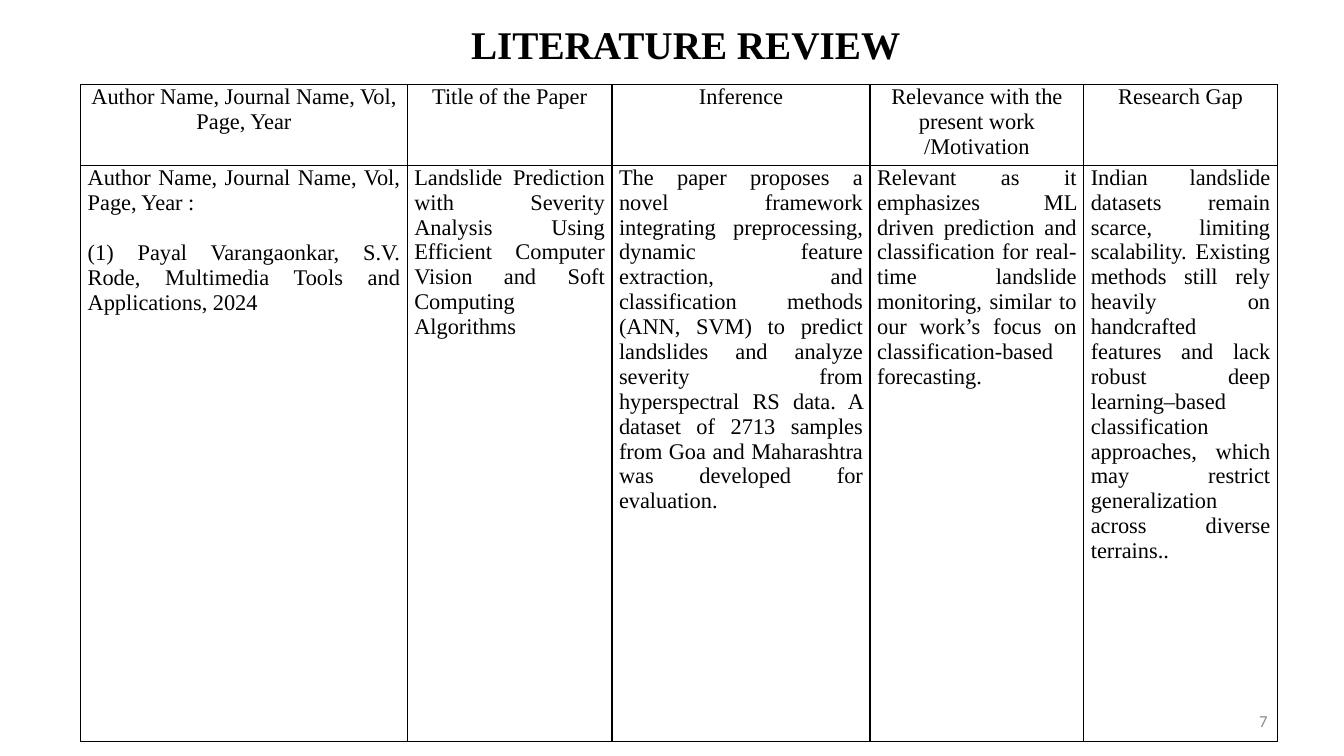
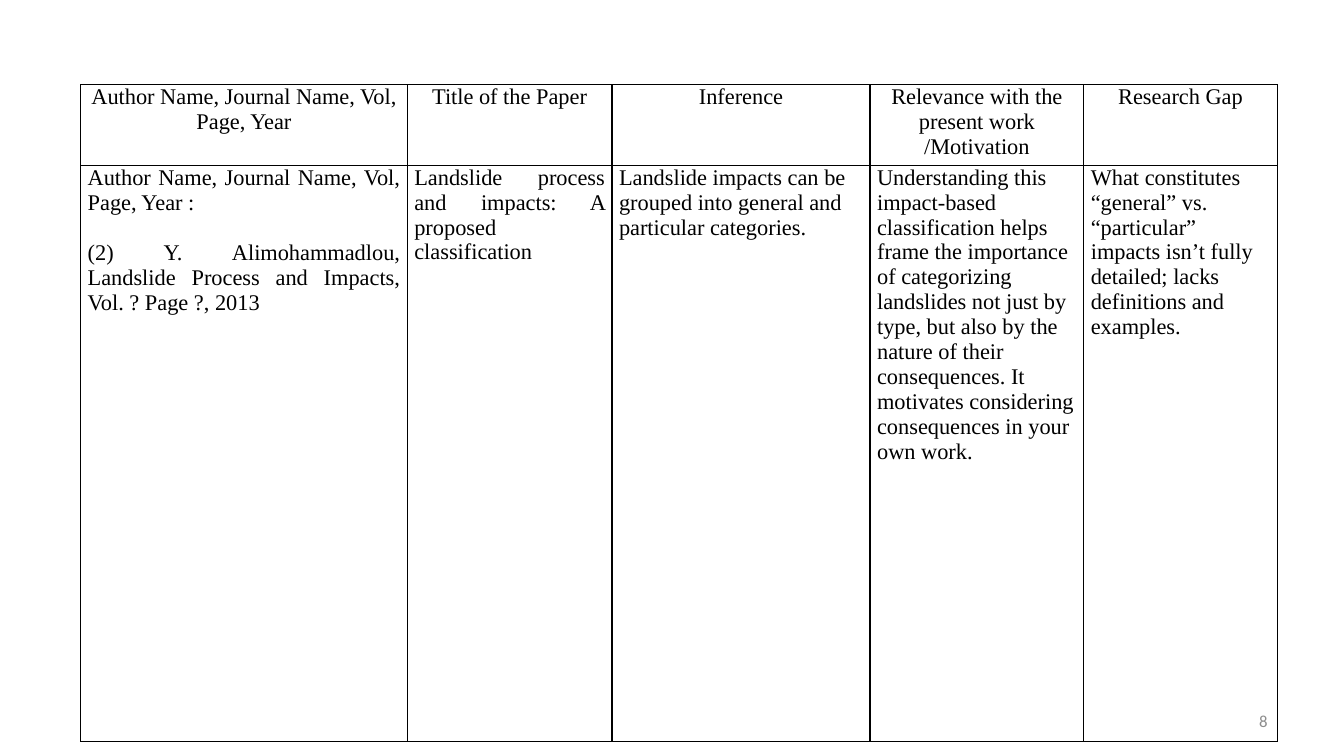
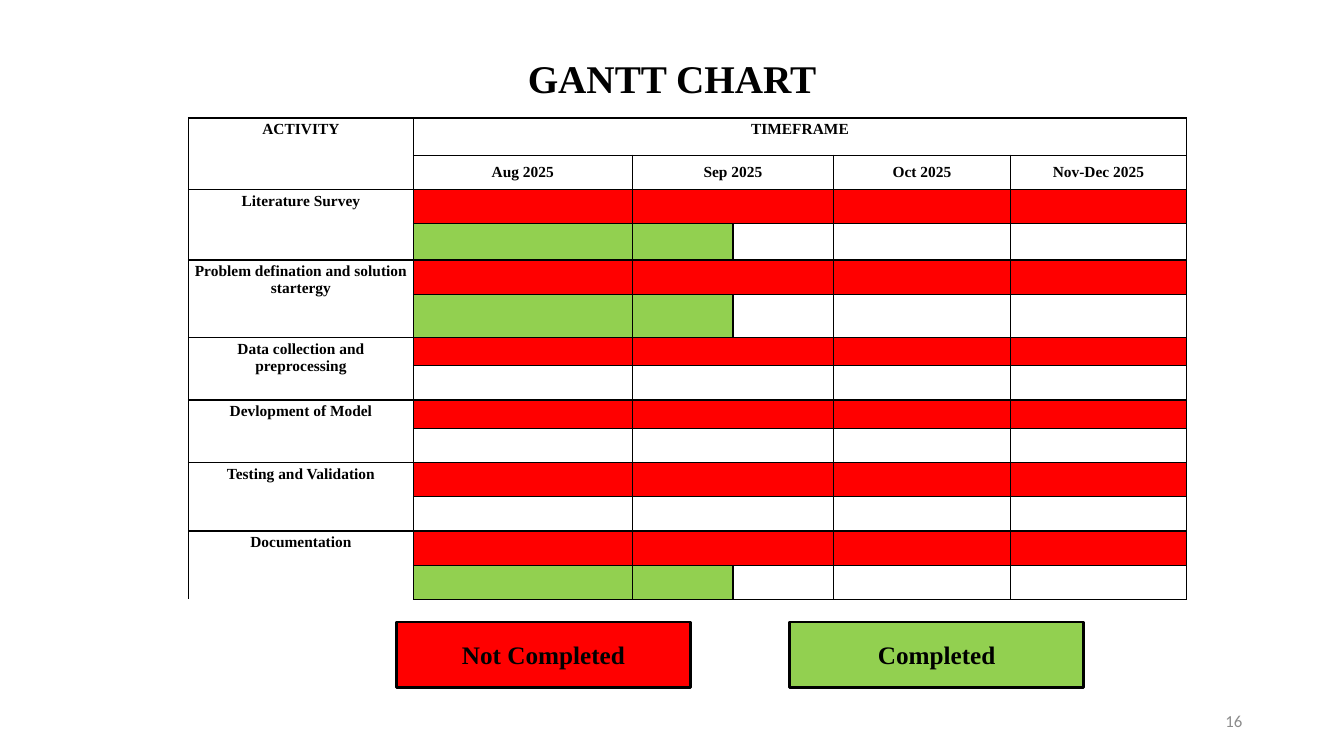
from lxml import etree
from pptx import Presentation
from pptx.dml.color import RGBColor
from pptx.enum.shapes import MSO_SHAPE
from pptx.enum.text import MSO_ANCHOR, PP_ALIGN
from pptx.oxml.ns import qn
from pptx.util import Emu, Pt

PX = 9144  # 100 px to the inch
BLACK = RGBColor(0x00, 0x00, 0x00)
GRAY = RGBColor(0x8C, 0x8C, 0x8C)
RED = RGBColor(0xFF, 0x00, 0x00)
GREEN = RGBColor(0x92, 0xD0, 0x50)
SERIF, SANS = "Times New Roman", "Calibri"
LEFT, CENTER = PP_ALIGN.LEFT, PP_ALIGN.CENTER
RIGHT, JUSTIFY = PP_ALIGN.RIGHT, PP_ALIGN.JUSTIFY
TOP, MIDDLE = MSO_ANCHOR.TOP, MSO_ANCHOR.MIDDLE
RECT = MSO_SHAPE.RECTANGLE

REVIEW_COLS = [324, 203, 256, 212, 192]
REVIEW_ROWS = [80, 572]
REVIEW_HEADER = [
    "Author Name, Journal Name, Vol, Page, Year",
    "Title of the Paper",
    "Inference",
    "Relevance with the present work /Motivation",
    "Research Gap",
]
AUTHOR_LABEL = "Author Name, Journal Name, Vol, Page, Year :"
LANDSLIDE_PREDICTION = [
    AUTHOR_LABEL + "\n(1) Payal Varangaonkar, S.V. Rode, Multimedia Tools and "
    "Applications, 2024",
    "Landslide Prediction with Severity Analysis Using Efficient Computer "
    "Vision and Soft Computing Algorithms",
    "The paper proposes a novel framework integrating preprocessing, dynamic "
    "feature extraction, and classification methods (ANN, SVM) to predict "
    "landslides and analyze severity from hyperspectral RS data. A dataset of "
    "2713 samples from Goa and Maharashtra was developed for evaluation.",
    "Relevant as it emphasizes ML driven prediction and classification for "
    "real-time landslide monitoring, similar to our work’s focus on "
    "classification-based forecasting.",
    "Indian landslide datasets remain scarce, limiting scalability. Existing "
    "methods still rely heavily on handcrafted features and lack robust deep "
    "learning–based classification approaches, which may restrict "
    "generalization across diverse terrains..",
]
LANDSLIDE_IMPACTS = [
    AUTHOR_LABEL + "\n(2) Y. Alimohammadlou, Landslide Process and Impacts, "
    "Vol. ? Page ?, 2013",
    "Landslide process and impacts: A proposed classification",
    "Landslide impacts can be grouped into general and particular categories.",
    "Understanding this impact-based classification helps frame the importance "
    "of categorizing landslides not just by type, but also by the nature of "
    "their consequences. It motivates considering consequences in your own "
    "work.",
    "What constitutes “general” vs. “particular” impacts isn’t fully detailed; "
    "lacks definitions and examples.",
]

GANTT_COLS = [223, 217, 100, 100, 175, 175]
GANTT_ROWS = [37, 34, 34, 36, 34, 43, 28, 34, 28, 34, 34, 34, 34, 34]
MONTHS = {1: "Aug 2025", 2: "Sep 2025", 4: "Oct 2025", 5: "Nov-Dec 2025"}
ACTIVITIES = [  # name, work started
    ("Literature Survey", True),
    ("Problem defination and solution startergy", True),
    ("Data collection and preprocessing", False),
    ("Devlopment of Model", False),
    ("Testing and Validation", False),
    ("Documentation", True),
]


def px(*lengths):
    return [Emu(n * PX) for n in lengths]


def write(tf, text, size=16, font=SERIF, color=BLACK, bold=False, align=LEFT,
          gap=0, spacing=None):
    """Fill a text frame, one paragraph a line, with gap points between them."""
    tf.word_wrap = True
    for i, line in enumerate(text.split("\n")):
        p = tf.add_paragraph() if i else tf.paragraphs[0]
        p.alignment = align
        if i:
            p.space_before = Pt(gap)
        if spacing:
            p.line_spacing = spacing
        r = p.add_run()
        r.text = line
        r.font.size, r.font.name = Pt(size), font
        r.font.bold, r.font.color.rgb = bold, color


def add_text(s, box, text, **fmt):
    tf = s.shapes.add_textbox(*px(*box)).text_frame
    tf.vertical_anchor = MIDDLE
    write(tf, text, **fmt)


def add_title(s, box, text, **fmt):
    add_text(s, box, text, size=28, bold=True, align=CENTER, **fmt)


def add_number(s, right, number):
    add_text(s, (right - 300, 695, 300, 40), str(number), size=12, font=SANS,
             color=GRAY, align=RIGHT)


def add_legend(s, left, text, color):
    sp = s.shapes.add_shape(RECT, *px(left, 617, 292, 65))
    sp.shadow.inherit = False
    sp.fill.solid()
    sp.fill.fore_color.rgb = color
    sp.line.color.rgb, sp.line.width = BLACK, Pt(2)
    sp.text_frame.vertical_anchor = MIDDLE
    write(sp.text_frame, text, size=18, bold=True, align=CENTER)


def set_borders(cell, sides):
    """Draw the named sides (of L, R, T, B) in black and hide the others."""
    tc_pr = cell._tc.get_or_add_tcPr()
    for side in "LRTB":
        ln = etree.SubElement(tc_pr, qn("a:ln" + side), w=str(Pt(1)))
        if side in sides:
            fill = etree.SubElement(ln, qn("a:solidFill"))
            etree.SubElement(fill, qn("a:srgbClr"), val=str(BLACK))
        else:
            etree.SubElement(ln, qn("a:noFill"))


def add_grid(s, left, top, cols, rows, open_below=()):
    """Add a plain ruled table; cells in open_below have no bottom line."""
    frame = s.shapes.add_table(len(rows), len(cols),
                               *px(left, top, sum(cols), sum(rows)))
    table = frame.table
    table.first_row = table.horz_banding = False
    for column, width in zip(table.columns, px(*cols)):
        column.width = width
    for i, (row, height) in enumerate(zip(table.rows, px(*rows))):
        row.height = height
        for j, cell in enumerate(row.cells):
            set_borders(cell, "LRT" if (i, j) in open_below else "LRTB")
            cell.fill.background()
            set_margins(cell, 0, 0)
            end = cell.text_frame.paragraphs[0]._p.get_or_add_endParaRPr()
            end.set("sz", "1100")
    return table


def set_margins(cell, side, edge):
    cell.margin_left = cell.margin_right = Emu(side * PX)
    cell.margin_top = cell.margin_bottom = Emu(edge * PX)


def fill_cell(cell, text, side, edge, anchor=TOP, **fmt):
    set_margins(cell, side, edge)
    cell.vertical_anchor = anchor
    write(cell.text_frame, text, **fmt)


def paint(cell, color):
    cell.fill.solid()
    cell.fill.fore_color.rgb = color


def add_review(s, entry, justified, number):
    """Add the review table; the first justified cells of entry are justified."""
    table = add_grid(s, 80, 84, REVIEW_COLS, REVIEW_ROWS)
    for j, (heading, text) in enumerate(zip(REVIEW_HEADER, entry)):
        fill_cell(table.cell(0, j), heading, 7, 0, align=CENTER)
        fill_cell(table.cell(1, j), text, 7, 0, gap=18,
                  align=JUSTIFY if j < justified else LEFT)
    add_number(s, 1267, number)


def add_gantt(s):
    last = len(GANTT_ROWS) - 1
    table = add_grid(s, 187, 117, GANTT_COLS, GANTT_ROWS,
                     open_below={(last - 1, 0), (last, 0)})
    label = {"size": 11, "bold": True, "align": CENTER}

    table.cell(0, 0).merge(table.cell(1, 0))
    table.cell(0, 1).merge(table.cell(0, 5))
    table.cell(1, 2).merge(table.cell(1, 3))
    fill_cell(table.cell(0, 0), "ACTIVITY", 6, 3, **label)
    fill_cell(table.cell(0, 1), "TIMEFRAME", 6, 3, **label)
    for j, month in MONTHS.items():
        fill_cell(table.cell(1, j), month, 1, 1, anchor=MIDDLE, **label)

    for k, (name, started) in enumerate(ACTIVITIES):
        plan = 2 + 2 * k
        done = plan + 1
        table.cell(plan, 0).merge(table.cell(done, 0))
        fill_cell(table.cell(plan, 0), name, 6, 3, **label)
        for j in range(1, len(GANTT_COLS)):
            paint(table.cell(plan, j), RED)
        table.cell(plan, 2).merge(table.cell(plan, 3))
        if started:
            for j in (1, 2):
                paint(table.cell(done, j), GREEN)
        else:
            table.cell(done, 2).merge(table.cell(done, 3))


def main():
    prs = Presentation()
    prs.slide_width, prs.slide_height = px(1333, 750)
    blank = prs.slide_layouts[6]

    s = prs.slides.add_slide(blank)
    add_title(s, (80, 15, 1200, 57), "LITERATURE REVIEW")
    add_review(s, LANDSLIDE_PREDICTION, 5, 7)

    s = prs.slides.add_slide(blank)
    add_review(s, LANDSLIDE_IMPACTS, 2, 8)

    s = prs.slides.add_slide(blank)
    add_title(s, (110, 19, 1113, 122), "GANTT CHART", spacing=0.9)
    add_gantt(s)
    add_legend(s, 393, "Not Completed", RED)
    add_legend(s, 783, "Completed", GREEN)
    add_number(s, 1242, 16)

    prs.save("out.pptx")


if __name__ == "__main__":
    main()
